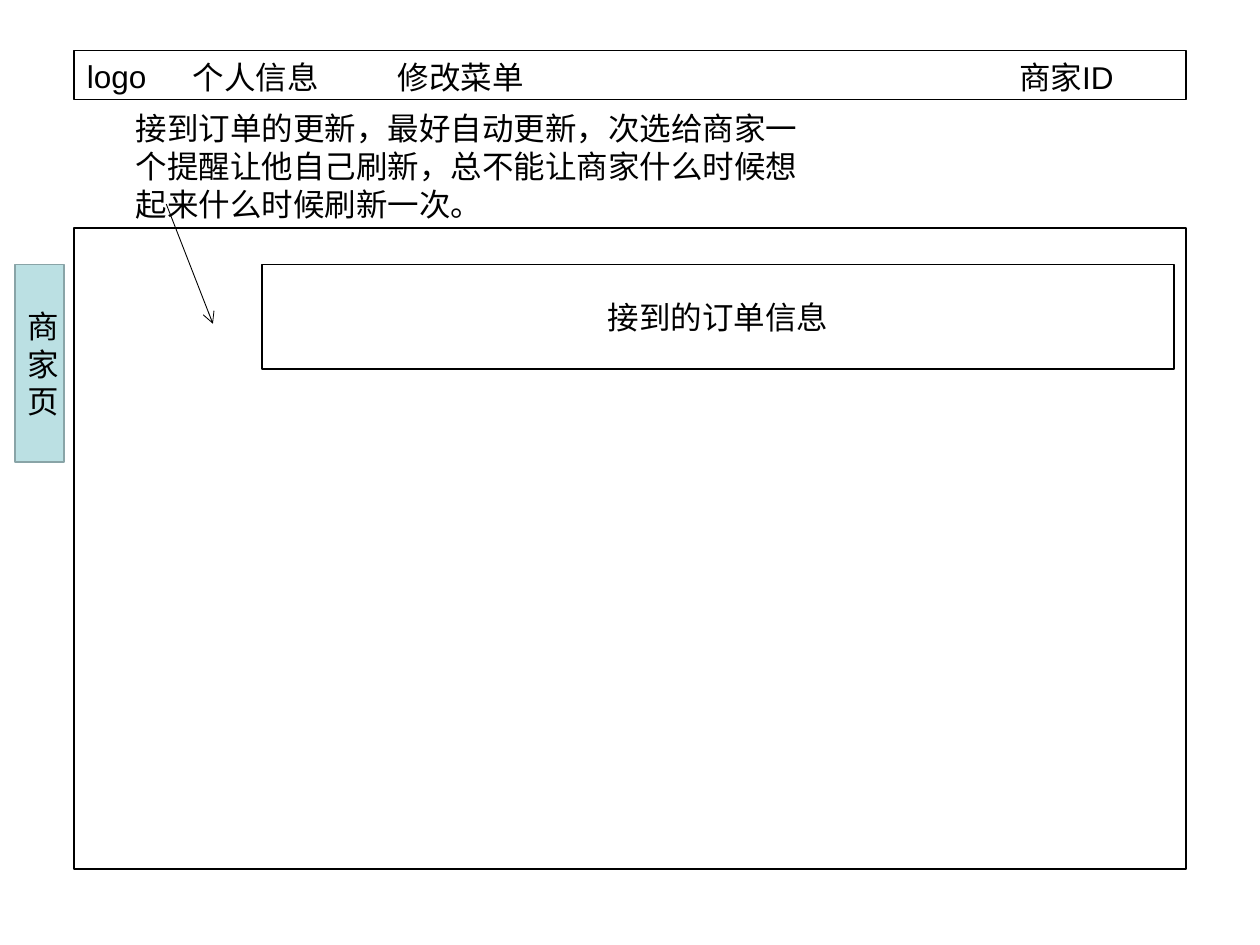
from dataclasses import dataclass

from lxml import etree
from pptx import Presentation
from pptx.dml.color import RGBColor
from pptx.enum import shapes, text
from pptx.oxml import ns
from pptx.util import Inches, Pt


@dataclass(frozen=True)
class Theme:
    ink: RGBColor = RGBColor(0, 0, 0)
    tab_fill: RGBColor = RGBColor(0xBB, 0xE0, 0xE3)
    tab_line: RGBColor = RGBColor(0x89, 0xA4, 0xA7)
    font: str = "Arial"
    size: Pt = Pt(18)
    border: Pt = Pt(1)
    arrow: Pt = Pt(0.5)


THEME = Theme()
PAGE_LEFT, PAGE_WIDTH = 0.59, 8.82
ROW_TOP = 2.1


def write(sp, words, align, anchor):
    tf = sp.text_frame
    tf.word_wrap = True
    tf.vertical_anchor = anchor
    tf.text = words
    p = tf.paragraphs[0]
    p.alignment = align
    font = p.runs[0].font
    font.name, font.size = THEME.font, THEME.size
    font.color.rgb = THEME.ink


def add_box(s, left, top, width, height, words="", fill=None, line=THEME.ink):
    sp = s.shapes.add_shape(shapes.MSO_SHAPE.RECTANGLE, Inches(left),
                            Inches(top), Inches(width), Inches(height))
    sp.shadow.inherit = False
    if fill is None:
        sp.fill.background()
    else:
        sp.fill.solid()
        sp.fill.fore_color.rgb = fill
    sp.line.color.rgb = line
    sp.line.width = THEME.border
    if words:
        write(sp, words, text.PP_ALIGN.CENTER, text.MSO_ANCHOR.MIDDLE)


def add_label(s, left, top, width, words, height=0.4):
    sp = s.shapes.add_textbox(Inches(left), Inches(top),
                              Inches(width), Inches(height))
    write(sp, words, text.PP_ALIGN.LEFT, text.MSO_ANCHOR.TOP)
    sp.text_frame.auto_size = text.MSO_AUTO_SIZE.SHAPE_TO_FIT_TEXT


def add_arrow(s, x1, y1, x2, y2):
    c = s.shapes.add_connector(shapes.MSO_CONNECTOR.STRAIGHT, Inches(x1),
                               Inches(y1), Inches(x2), Inches(y2))
    c.line.color.rgb = THEME.ink
    c.line.width = THEME.arrow
    etree.SubElement(c.line._get_or_add_ln(), ns.qn("a:tailEnd"), type="arrow")
    etree.SubElement(c._element.spPr, ns.qn("a:effectLst"))


def main():
    prs = Presentation()
    prs.slide_width, prs.slide_height = Inches(10), Inches(7.5)
    s = prs.slides.add_slide(prs.slide_layouts[6])

    add_box(s, PAGE_LEFT, 0.4, PAGE_WIDTH, 0.39)
    add_label(s, PAGE_LEFT, 0.4, 0.72, "logo")
    for left, width, words in ((1.43, 1.41, "个人信息"),
                               (3.06, 1.41, "修改菜单"),
                               (7.99, 1.34, "商家ID")):
        add_label(s, left, 0.41, width, words)

    add_box(s, PAGE_LEFT, 1.81, PAGE_WIDTH, 5.09)
    add_box(s, 2.08, ROW_TOP, 7.24, 0.83, "接到的订单信息")
    add_box(s, 0.12, ROW_TOP, 0.39, 1.57, "商家页",
            THEME.tab_fill, THEME.tab_line)

    add_label(s, 0.98, 0.82, 5.57,
              "接到订单的更新，最好自动更新，次选给商家一个提醒让他自己刷新，"
              "总不能让商家什么时候想起来什么时候刷新一次。", 1)
    add_arrow(s, 1.32, 1.62, 1.69, 2.57)

    prs.save("out.pptx")


if __name__ == "__main__":
    main()
